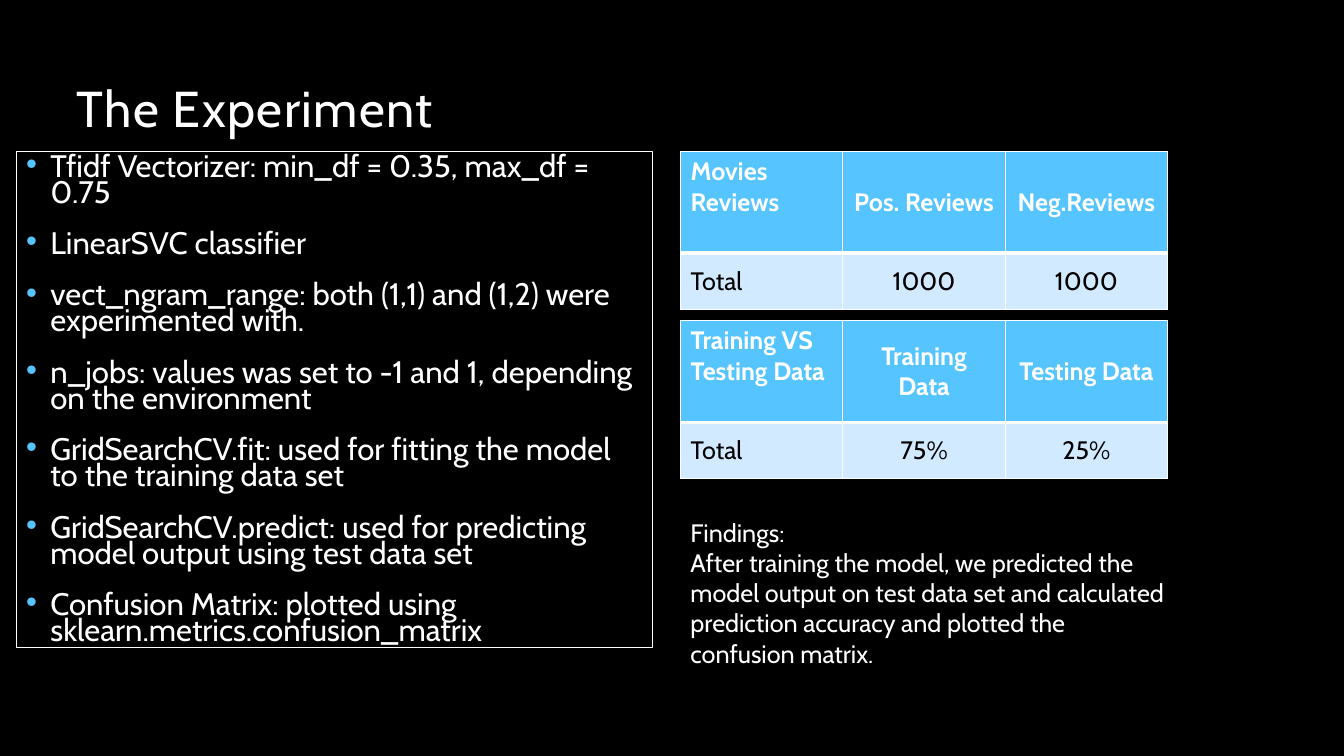
from lxml import etree
from pptx import Presentation
from pptx.dml.color import RGBColor
from pptx.enum.text import MSO_ANCHOR as Anchor, MSO_AUTO_SIZE as AutoSize, PP_ALIGN as Align
from pptx.oxml.ns import qn
from pptx.util import Inches, Pt

BLACK = RGBColor(0x00, 0x00, 0x00)
WHITE = RGBColor(0xFF, 0xFF, 0xFF)
BLUE = RGBColor(0x56, 0xC5, 0xFF)
PALE_BLUE = RGBColor(0xD1, 0xEA, 0xFF)
FONT = "Cabin"

SETTINGS = [
    "Tfidf Vectorizer: min_df = 0.35, max_df = 0.75",
    "LinearSVC classifier",
    "vect_ngram_range: both (1,1) and (1,2) were experimented with.",
    "n_jobs: values was set to -1 and 1, depending on the environment",
    "GridSearchCV.fit: used for fitting the model to the training data set",
    "GridSearchCV.predict: used for predicting model output using test data set",
    "Confusion Matrix: plotted using sklearn.metrics.confusion_matrix",
]
REVIEWS = [["Movies Reviews", "Pos. Reviews", "Neg.Reviews"], ["Total", "1000", "1000"]]
DATA_SPLIT = [["Training VS Testing Data", "Training Data", "Testing Data"],
              ["Total", "75%", "25%"]]
FINDINGS = [
    "Findings:",
    "After training the model, we predicted the model output on test data set and "
    "calculated prediction accuracy and plotted the confusion matrix.",
]


def place(shape, left, top, width, height):
    shape.left, shape.top = Inches(left), Inches(top)
    shape.width, shape.height = Inches(width), Inches(height)


def format_runs(paragraph, size, color=WHITE, bold=False):
    for run in paragraph.runs:
        run.font.name = FONT
        run.font.size = Pt(size)
        run.font.bold = bold
        run.font.color.rgb = color


def add_bullet(paragraph, indent):
    properties = paragraph._p.get_or_add_pPr()
    properties.set("marL", str(Inches(indent)))
    properties.set("indent", str(-Inches(indent)))
    color = etree.SubElement(properties, qn("a:buClr"))
    etree.SubElement(color, qn("a:srgbClr"), val=str(BLUE))
    etree.SubElement(properties, qn("a:buFont"), typeface="Arial")
    etree.SubElement(properties, qn("a:buChar"), char="•")


def set_borders(cell, bottom_width):
    properties = cell._tc.get_or_add_tcPr()
    widths = {"a:lnL": 1, "a:lnR": 1, "a:lnT": 1, "a:lnB": bottom_width}
    for position, (tag, width) in enumerate(widths.items()):
        line = etree.Element(qn(tag), w=str(Pt(width)))
        fill = etree.SubElement(line, qn("a:solidFill"))
        etree.SubElement(fill, qn("a:srgbClr"), val=str(WHITE))
        properties.insert(position, line)


def fill_title(title, text, left, top, width, height):
    place(title, left, top, width, height)
    frame = title.text_frame
    frame.text = text
    frame.auto_size = AutoSize.NONE
    frame.vertical_anchor = Anchor.BOTTOM
    paragraph = frame.paragraphs[0]
    paragraph.alignment = Align.LEFT
    paragraph.line_spacing = 0.9
    format_runs(paragraph, 36)
    paragraph.runs[0].font._element.set("spc", "100")


def fill_settings(body, lines, left, top, width, height):
    place(body, left, top, width, height)
    body.line.color.rgb = WHITE
    body.line.width = Pt(0.75)
    frame = body.text_frame
    frame.text = "\n".join(lines)
    frame.auto_size = AutoSize.NONE
    frame.vertical_anchor = Anchor.TOP
    for paragraph in frame.paragraphs:
        paragraph.line_spacing = 0.7
        paragraph.space_before = Pt(18)
        add_bullet(paragraph, 0.24)
        format_runs(paragraph, 22.2)


def add_data_table(slide, rows, left, top, width, height):
    header_height = 1
    table = slide.shapes.add_table(len(rows), len(rows[0]), Inches(left), Inches(top),
                                   Inches(width), Inches(height)).table
    table.rows[0].height = Inches(header_height)
    table.rows[1].height = Inches(height - header_height)
    for row, texts in enumerate(rows):
        is_header = row == 0
        for column, text in enumerate(texts):
            cell = table.cell(row, column)
            cell.fill.solid()
            cell.fill.fore_color.rgb = BLUE if is_header else PALE_BLUE
            set_borders(cell, 3 if is_header else 1)
            cell.vertical_anchor = Anchor.MIDDLE
            cell.text_frame.text = text
            paragraph = cell.text_frame.paragraphs[0]
            paragraph.alignment = Align.CENTER if column else Align.LEFT
            format_runs(paragraph, 18, WHITE if is_header else BLACK, is_header)
    # The row heading sits high in the header row
    table.cell(0, 0).margin_bottom = Inches(0.35)


def add_findings(slide, lines, left, top, width, height):
    box = slide.shapes.add_textbox(Inches(left), Inches(top), Inches(width), Inches(height))
    frame = box.text_frame
    frame.word_wrap = True
    frame.text = "\n".join(lines)
    for paragraph in frame.paragraphs:
        format_runs(paragraph, 18)


def build_experiment_slide(presentation):
    slide = presentation.slides.add_slide(presentation.slide_layouts[1])
    slide.background.fill.solid()
    slide.background.fill.fore_color.rgb = BLACK

    # Title and experiment settings
    fill_title(slide.shapes.title, "The Experiment", 0.66, 0.42, 4.5, 1)
    fill_settings(slide.placeholders[1], SETTINGS, 0.16, 1.5, 6.31, 4.92)

    # Data tables
    for index, rows in enumerate([REVIEWS, DATA_SPLIT]):
        add_data_table(slide, rows, 6.75, 1.5 + index * 1.68, 4.83, 1.56)

    # Findings
    add_findings(slide, FINDINGS, 6.75, 5.08, 4.94, 1.92)


def main():
    presentation = Presentation()
    presentation.slide_width = Inches(13.33)
    presentation.slide_height = Inches(7.5)
    build_experiment_slide(presentation)
    presentation.save("out.pptx")


if __name__ == "__main__":
    main()
